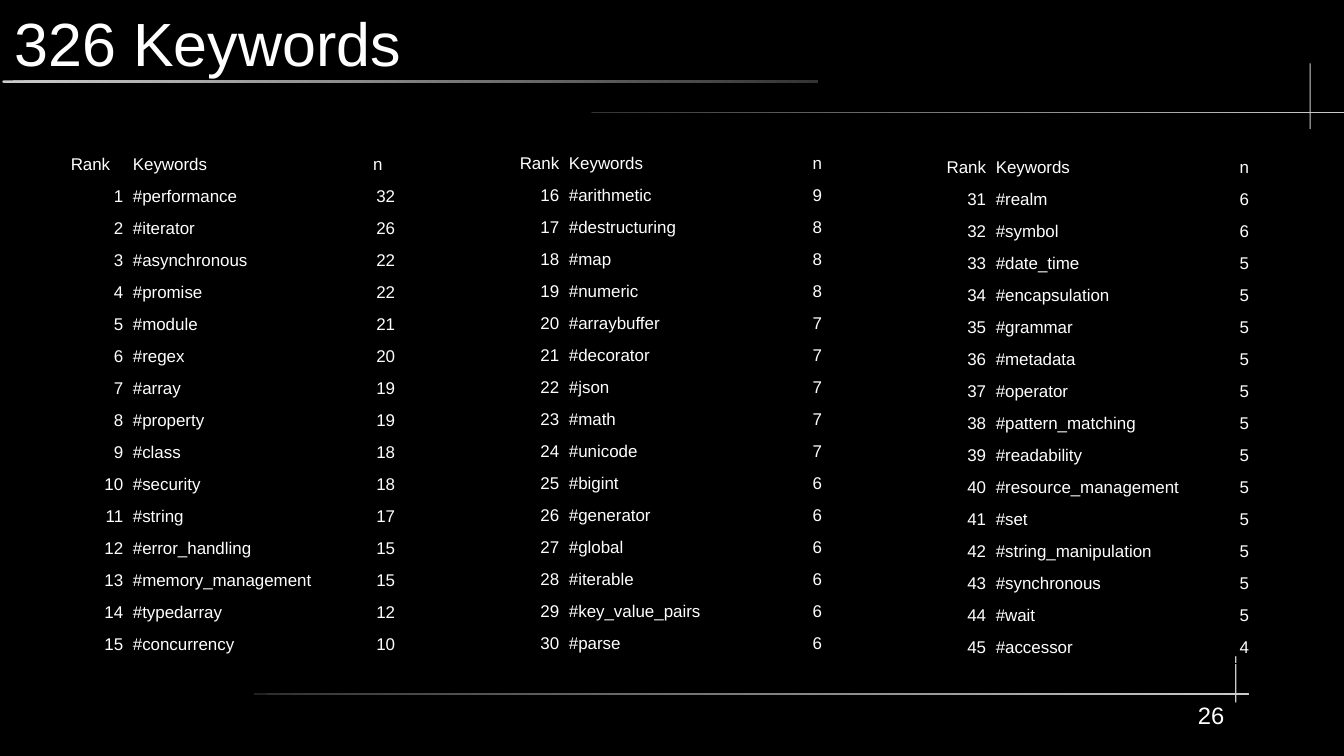
"""Build the keyword ranking slide with three ranked tables."""

from dataclasses import dataclass

from lxml.etree import SubElement
from pptx import Presentation
from pptx.dml.color import RGBColor
from pptx.enum.shapes import MSO_SHAPE as Shape
from pptx.enum.text import MSO_ANCHOR as Anchor, PP_ALIGN as Align
from pptx.oxml.ns import qn
from pptx.slide import Slide
from pptx.table import _Cell as Cell
from pptx.text.text import TextFrame
from pptx.util import Pt

BLACK, WHITE, LIGHT, DARK = "000000", "FFFFFF", "CCCCCC", "333333"
TABLE_LEFT, TABLE_PITCH, TABLE_WIDTH = 38.9, 252, 197.3
COUNT_WIDTH, ROW_HEIGHT = 18.7, 16.87
CELL_FORMAT = {
    "margin_left": Pt(2.9),
    "margin_right": Pt(2.9),
    "margin_top": Pt(3.86),
    "margin_bottom": Pt(3.86),
    "vertical_anchor": Anchor.TOP,
}
BOX_FORMAT = {
    "margin_left": 0,
    "margin_right": 0,
    "margin_top": 0,
    "margin_bottom": 0,
    "word_wrap": True,
}


@dataclass
class Rule:
    """A thin decorative line with one or two colours."""

    left: float
    top: float
    width: float
    height: float
    colours: tuple[str, ...]


@dataclass
class Label:
    """A text box."""

    text: str
    left: float
    top: float
    width: float
    height: float
    size: float
    align: Align
    anchor: Anchor


@dataclass
class Ranking:
    """A table of keywords and their counts."""

    top: float
    rank_width: float
    header_align: Align
    counts: dict[str, int]


RULES = [
    Rule(1.4, 47.5, 481.7, 1.4, (LIGHT, DARK)),
    Rule(349.2, 66.2, 447.1, 0.72, (DARK, LIGHT)),
    Rule(773.1, 37.4, 0.72, 38.9, (LIGHT,)),
    Rule(149.8, 409.5, 587.5, 0.72, (DARK, LIGHT)),
    Rule(729.2, 387.4, 0.72, 27.4, (LIGHT,)),
]
LABELS = [
    Label("326 Keywords", 8.6, 0, 652.3, 49.7, 36, Align.LEFT, Anchor.MIDDLE),
    Label("26", 595.4, 414, 127.4, 32.4, 14, Align.RIGHT, Anchor.TOP),
]
RANKINGS = [
    Ranking(87.8, 36.7, Align.LEFT, {
        "performance": 32, "iterator": 26, "asynchronous": 22,
        "promise": 22, "module": 21, "regex": 20, "array": 19,
        "property": 19, "class": 18, "security": 18, "string": 17,
        "error_handling": 15, "memory_management": 15,
        "typedarray": 12, "concurrency": 10,
    }),
    Ranking(87.1, 42.1, Align.RIGHT, {
        "arithmetic": 9, "destructuring": 8, "map": 8, "numeric": 8,
        "arraybuffer": 7, "decorator": 7, "json": 7, "math": 7,
        "unicode": 7, "bigint": 6, "generator": 6, "global": 6,
        "iterable": 6, "key_value_pairs": 6, "parse": 6,
    }),
    Ranking(89.3, 42.1, Align.RIGHT, {
        "realm": 6, "symbol": 6, "date_time": 5, "encapsulation": 5,
        "grammar": 5, "metadata": 5, "operator": 5,
        "pattern_matching": 5, "readability": 5,
        "resource_management": 5, "set": 5, "string_manipulation": 5,
        "synchronous": 5, "wait": 5, "accessor": 4,
    }),
]


def colour(value: str) -> RGBColor:
    """Return the colour for a hex string."""
    return RGBColor.from_string(value)


def apply_format(target: object, values: dict) -> None:
    """Set each named attribute on the target."""
    for name, value in values.items():
        setattr(target, name, value)


def write_text(frame: TextFrame, text: str, size: float, align: Align) -> None:
    """Write one white paragraph into a text frame."""
    paragraph = frame.paragraphs[0]
    paragraph.alignment = align
    run = paragraph.add_run()
    run.text = text
    apply_format(run.font, {"name": "Arial", "size": Pt(size), "bold": False})
    run.font.color.rgb = colour(WHITE)


def draw_rule(slide: Slide, rule: Rule) -> None:
    """Draw a rounded line with a solid or gradient fill."""
    bounds = map(Pt, (rule.left, rule.top, rule.width, rule.height))
    shape = slide.shapes.add_shape(Shape.ROUNDED_RECTANGLE, *bounds)
    shape.adjustments[0] = 0.5
    shape.shadow.inherit = False
    shape.line.fill.background()
    if len(rule.colours) == 1:
        shape.fill.solid()
        shape.fill.fore_color.rgb = colour(rule.colours[0])
        return
    shape.fill.gradient()
    shape.fill.gradient_angle = 0
    for stop, value in zip(shape.fill.gradient_stops, rule.colours):
        stop.color.rgb = colour(value)


def draw_label(slide: Slide, label: Label) -> None:
    """Draw a text box without margins."""
    bounds = map(Pt, (label.left, label.top, label.width, label.height))
    frame = slide.shapes.add_textbox(*bounds).text_frame
    apply_format(frame, BOX_FORMAT | {"vertical_anchor": label.anchor})
    write_text(frame, label.text, label.size, label.align)


def add_borders(cell: Cell) -> None:
    """Put a thin black border on every side of a cell."""
    properties = cell._tc.get_or_add_tcPr()
    for side in ("a:lnL", "a:lnR", "a:lnT", "a:lnB"):
        line = SubElement(properties, qn(side), w=str(Pt(0.57)))
        fill = SubElement(line, qn("a:solidFill"))
        SubElement(fill, qn("a:srgbClr"), val=BLACK)


def draw_ranking(slide: Slide, ranking: Ranking, left: float, first: int) -> None:
    """Draw a ranking table whose ranks start at first."""
    rows = [("Rank", "Keywords", "n")]
    for rank, (keyword, count) in enumerate(ranking.counts.items(), first):
        rows.append((str(rank), f"#{keyword}", str(count)))
    bounds = map(Pt, (left, ranking.top, TABLE_WIDTH, ROW_HEIGHT * len(rows)))
    table = slide.shapes.add_table(len(rows), 3, *bounds).table
    apply_format(table, {"first_row": False, "horz_banding": False})
    keyword_width = TABLE_WIDTH - ranking.rank_width - COUNT_WIDTH
    widths = (ranking.rank_width, keyword_width, COUNT_WIDTH)
    for column, width in zip(table.columns, widths):
        column.width = Pt(width)
    for row_index, texts in enumerate(rows):
        table.rows[row_index].height = Pt(ROW_HEIGHT)
        number_align = Align.RIGHT if row_index else ranking.header_align
        aligns = (number_align, Align.LEFT, number_align)
        for column_index, (text, align) in enumerate(zip(texts, aligns)):
            cell = table.cell(row_index, column_index)
            apply_format(cell, CELL_FORMAT)
            add_borders(cell)
            cell.fill.background()
            write_text(cell.text_frame, text, 10, align)


def main() -> None:
    """Build and save the presentation."""
    presentation = Presentation()
    size = {"slide_width": Pt(793.44), "slide_height": Pt(446.4)}
    apply_format(presentation, size)
    slide = presentation.slides.add_slide(presentation.slide_layouts[6])
    slide.background.fill.solid()
    slide.background.fill.fore_color.rgb = colour(BLACK)
    for rule in RULES:
        draw_rule(slide, rule)
    first = 1
    for index, ranking in enumerate(RANKINGS):
        draw_ranking(slide, ranking, TABLE_LEFT + index * TABLE_PITCH, first)
        first += len(ranking.counts)
    for label in LABELS:
        draw_label(slide, label)
    presentation.save("out.pptx")


if __name__ == "__main__":
    main()
